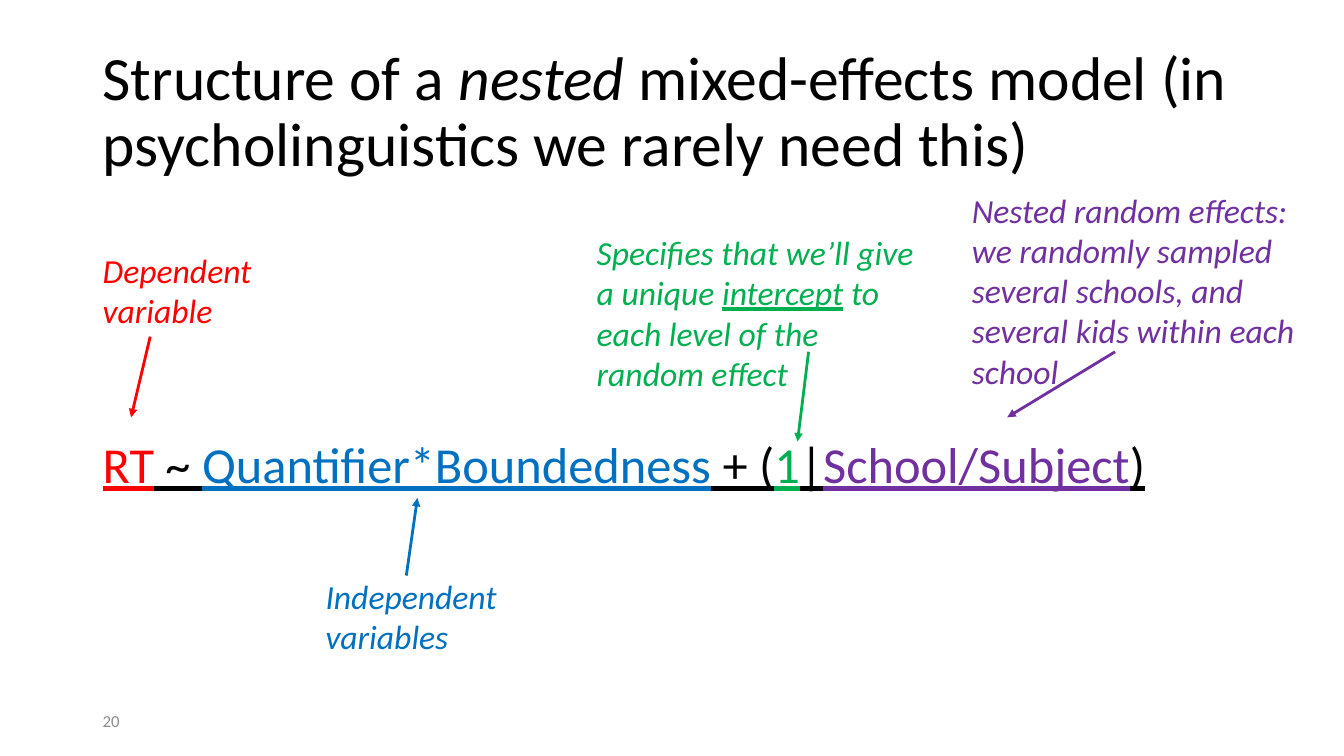
import pptx
import pptx.util
import pptx.dml.color
import pptx.enum.shapes
import pptx.enum.text
import pptx.oxml.ns
from dataclasses import dataclass
from lxml import etree

PX = 9144  # EMU per px, 100 px to the inch


@dataclass(frozen=True)
class Theme:
    font: str = "Calibri"
    black: str = "000000"
    grey: str = "8C8C8C"
    red: str = "FF0000"
    blue: str = "0070C0"
    green: str = "00B050"
    purple: str = "7030A0"
    title: int = 44
    formula: int = 36
    label: int = 24
    number: int = 12
    arrow: int = 2


THEME = Theme()
MIDDLE = pptx.enum.text.MSO_ANCHOR.MIDDLE
TOP = pptx.enum.text.MSO_ANCHOR.TOP


def add_text(s, box, runs, size, anchor=TOP, spacing=1.0):
    """Each run is (text, colour, styles), styles holding "i" and/or "u"."""
    sp = s.shapes.add_textbox(*(v * PX for v in box))
    tf = sp.text_frame
    tf.word_wrap = True
    tf.vertical_anchor = anchor
    p = tf.paragraphs[0]
    p.line_spacing = spacing
    for text, colour, styles in runs:
        r = p.add_run()
        r.text = text
        r.font.name = THEME.font
        r.font.size = pptx.util.Pt(size)
        r.font.color.rgb = pptx.dml.color.RGBColor.from_string(colour)
        r.font.italic = "i" in styles
        r.font.underline = "u" in styles


def add_arrow(s, points, colour):
    line = s.shapes.add_connector(
        pptx.enum.shapes.MSO_CONNECTOR.STRAIGHT, *(v * PX for v in points))
    line.line.color.rgb = pptx.dml.color.RGBColor.from_string(colour)
    line.line.width = pptx.util.Pt(THEME.arrow)
    qn = pptx.oxml.ns.qn
    etree.SubElement(line.line._get_or_add_ln(), qn("a:tailEnd"), type="triangle")
    etree.SubElement(line._element.spPr, qn("a:effectLst"))


def add_annotation(s, box, runs, arrow, colour):
    styled = [(text, colour, "i" + extra) for text, extra in runs]
    add_text(s, box, styled, THEME.label)
    add_arrow(s, arrow, colour)


def main():
    t = THEME
    prs = pptx.Presentation()
    prs.slide_width, prs.slide_height = 1333 * PX, 750 * PX
    s = prs.slides.add_slide(prs.slide_layouts[6])

    # Title
    add_text(s, (92, 40, 1150, 145), [
        ("Structure of a ", t.black, ""),
        ("nested ", t.black, "i"),
        ("mixed-effects model (in psycholinguistics we rarely need this)", t.black, ""),
    ], t.title, MIDDLE, 0.9)

    # Model formula, each term in the colour of its annotation
    terms = [
        ("RT", t.red), (" ~ ", t.black), ("Quantifier*Boundedness", t.blue),
        (" + (", t.black), ("1", t.green), ("|", t.black),
        ("School/Subject", t.purple), (")", t.black),
    ]
    add_text(s, (92, 420, 1150, 80), [(text, c, "u") for text, c in terms],
             t.formula, MIDDLE)

    # Annotations with arrows to their terms
    add_annotation(s, (92, 243, 248, 91), [("Dependent variable", "")],
                   (149, 334, 130, 414), t.red)
    add_annotation(s, (313, 566, 248, 91), [("Independent variables", "")],
                   (403, 571, 414, 494), t.blue)
    add_annotation(s, (954, 183, 373, 212), [
        ("Nested random effects: we randomly sampled several schools, "
         "and several kids within each school", ""),
    ], (1106, 349, 999, 414), t.purple)
    add_annotation(s, (582, 225, 343, 172), [
        ("Specifies that we’ll give a unique ", ""),
        ("intercept", "u"),
        (" to each level of the random effect", ""),
    ], (802, 349, 791, 438), t.green)

    # Slide number
    add_text(s, (92, 695, 300, 40), [("20", t.grey, "")], t.number, MIDDLE)

    prs.save("out.pptx")


if __name__ == "__main__":
    main()
